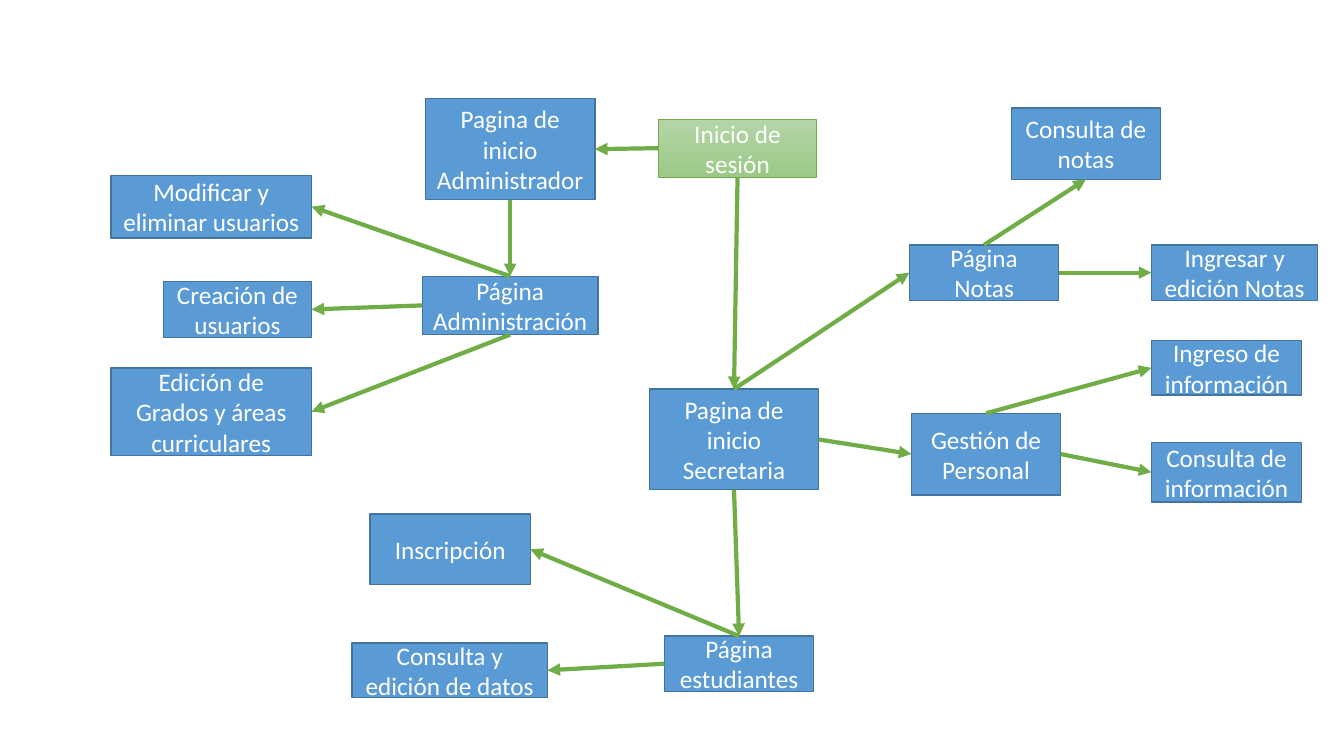
from lxml import etree
from pptx import Presentation, util as u
from pptx.dml.color import RGBColor
from pptx.enum import shapes, text
from pptx.oxml import ns

# Connection sites of a rectangle
TOP, LEFT, BOTTOM, RIGHT = range(4)


def colour(hex_string):
    return RGBColor.from_string(hex_string)


class SiteMap:
    """Style and current slide; lengths are cells of a 0.1 inch grid."""
    cell = u.Inches(0.1)
    font, size, ink = "Calibri", u.Pt(18), "FFFFFF"
    page_fill, page_line = "5B9BD5", "43739E"
    start_fill, green = ("B5D5A7", "9CC987"), "70AD47"

    def __init__(self, presentation):
        self.slide = presentation.slides.add_slide(presentation.slide_layouts[6])

    def grid(self, *cells):
        return [round(count * self.cell) for count in cells]

    def box(self, label, column, row, columns, rows):
        shape = self.slide.shapes.add_shape(
            shapes.MSO_SHAPE.RECTANGLE, *self.grid(column, row, columns, rows))
        shape.shadow.inherit = False
        shape.fill.solid()
        shape.fill.fore_color.rgb = colour(self.page_fill)
        shape.line.color.rgb = colour(self.page_line)
        shape.line.width = u.Pt(1)
        frame = shape.text_frame
        frame.word_wrap = True
        frame.vertical_anchor = text.MSO_ANCHOR.MIDDLE
        paragraph = frame.paragraphs[0]
        paragraph.text = label
        paragraph.alignment = text.PP_ALIGN.CENTER
        paragraph.font.name, paragraph.font.size = self.font, self.size
        paragraph.font.color.rgb = colour(self.ink)
        return shape

    def start_box(self, *arguments):
        shape = self.box(*arguments)
        shape.fill.gradient()
        shape.fill.gradient_angle = 270
        for stop, shade in zip(shape.fill.gradient_stops, self.start_fill):
            stop.color.rgb = colour(shade)
        shape.line.color.rgb = colour(self.green)
        shape.line.width = u.Pt(0.5)
        return shape

    def arrow(self, source, source_site, target, target_site):
        connector = self.slide.shapes.add_connector(
            shapes.MSO_CONNECTOR.STRAIGHT, 0, 0, 0, 0)
        connector.begin_connect(source, source_site)
        connector.end_connect(target, target_site)
        connector.line.color.rgb = colour(self.green)
        connector.line.width = u.Pt(3)
        line = connector.line._get_or_add_ln()
        etree.SubElement(line, ns.qn("a:tailEnd"), type="triangle")
        etree.SubElement(connector._element.spPr, ns.qn("a:effectLst"))


presentation = Presentation()
presentation.slide_width, presentation.slide_height = u.Inches(13.33), u.Inches(7.5)
site = SiteMap(presentation)

# Login and the two home pages
login = site.start_box("Inicio de sesión", 65.3, 11.8, 15.7, 5.8)
administrator = site.box("Pagina de inicio Administrador", 42.2, 9.8, 16.8, 10)
secretary = site.box("Pagina de inicio Secretaria", 64.4, 38.6, 16.8, 10)

# Administration
administration = site.box("Página Administración", 41.9, 27.4, 17.4, 5.8)
edit_users = site.box("Modificar y eliminar usuarios", 11, 17.4, 19.9, 6.2)
create_users = site.box("Creación de usuarios", 16.2, 27.9, 14.7, 5.6)
edit_grades = site.box("Edición de Grados y áreas curriculares", 11, 36.5, 19.9, 8.7)

# Marks
marks = site.box("Página Notas", 90.2, 24.3, 14.8, 5.5)
view_marks = site.box("Consulta de notas", 100.3, 10.7, 14.8, 7.1)
enter_marks = site.box("Ingresar y edición Notas", 114.2, 24.3, 16.5, 5.5)

# Staff
staff = site.box("Gestión de Personal", 90.4, 41, 14.8, 8.1)
enter_data = site.box("Ingreso de información", 114.2, 33.8, 14.9, 5.4)
view_data = site.box("Consulta de información", 114.2, 43.9, 14.9, 5.9)

# Students
students = site.box("Página estudiantes", 65.9, 63.1, 14.8, 5.5)
enrolment = site.box("Inscripción", 36.7, 51, 15.9, 7)
student_data = site.box("Consulta y edición de datos", 34.9, 63.8, 19.4, 5.4)

# Navigation
for route in (
    (login, LEFT, administrator, RIGHT),
    (login, BOTTOM, secretary, TOP),
    (administrator, BOTTOM, administration, TOP),
    (administration, TOP, edit_users, RIGHT),
    (administration, LEFT, create_users, RIGHT),
    (administration, BOTTOM, edit_grades, RIGHT),
    (secretary, TOP, marks, LEFT),
    (secretary, RIGHT, staff, LEFT),
    (secretary, BOTTOM, students, TOP),
    (marks, TOP, view_marks, BOTTOM),
    (marks, RIGHT, enter_marks, LEFT),
    (staff, TOP, enter_data, LEFT),
    (staff, RIGHT, view_data, LEFT),
    (students, TOP, enrolment, RIGHT),
    (students, LEFT, student_data, RIGHT),
):
    site.arrow(*route)

presentation.save("out.pptx")
